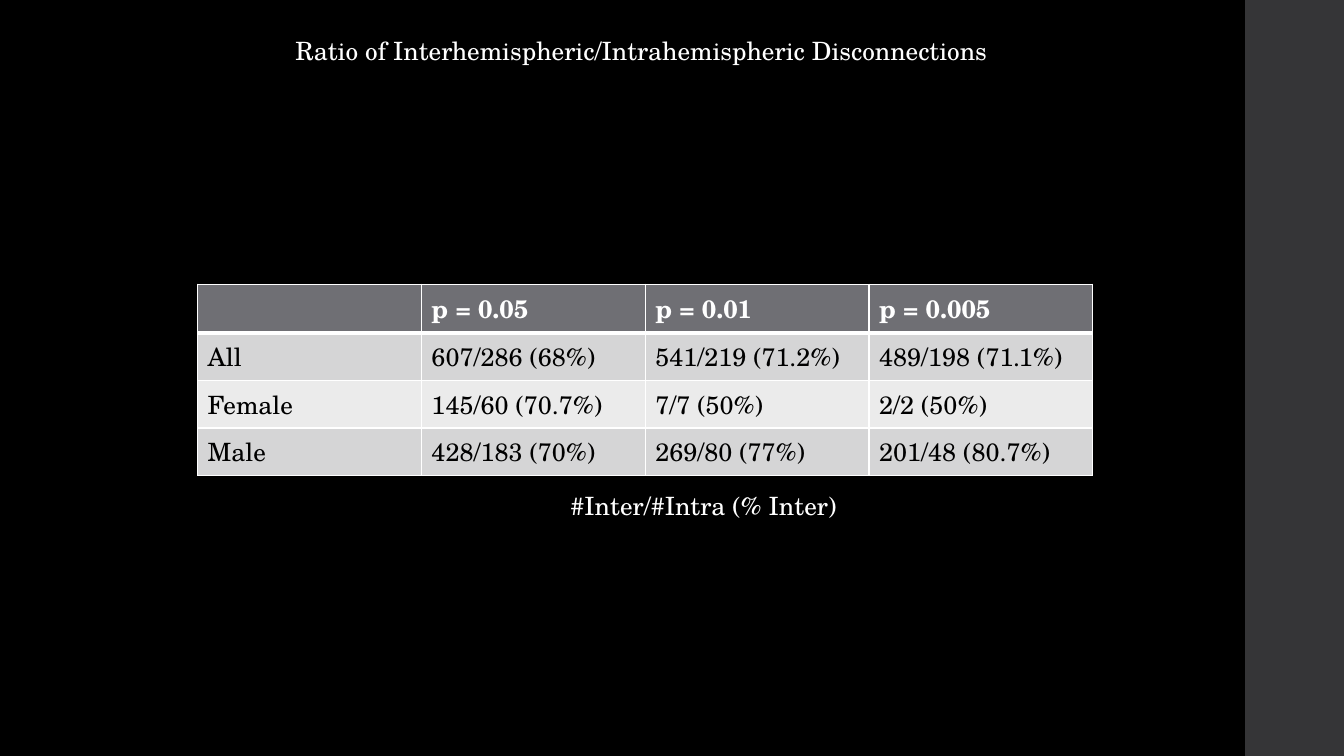
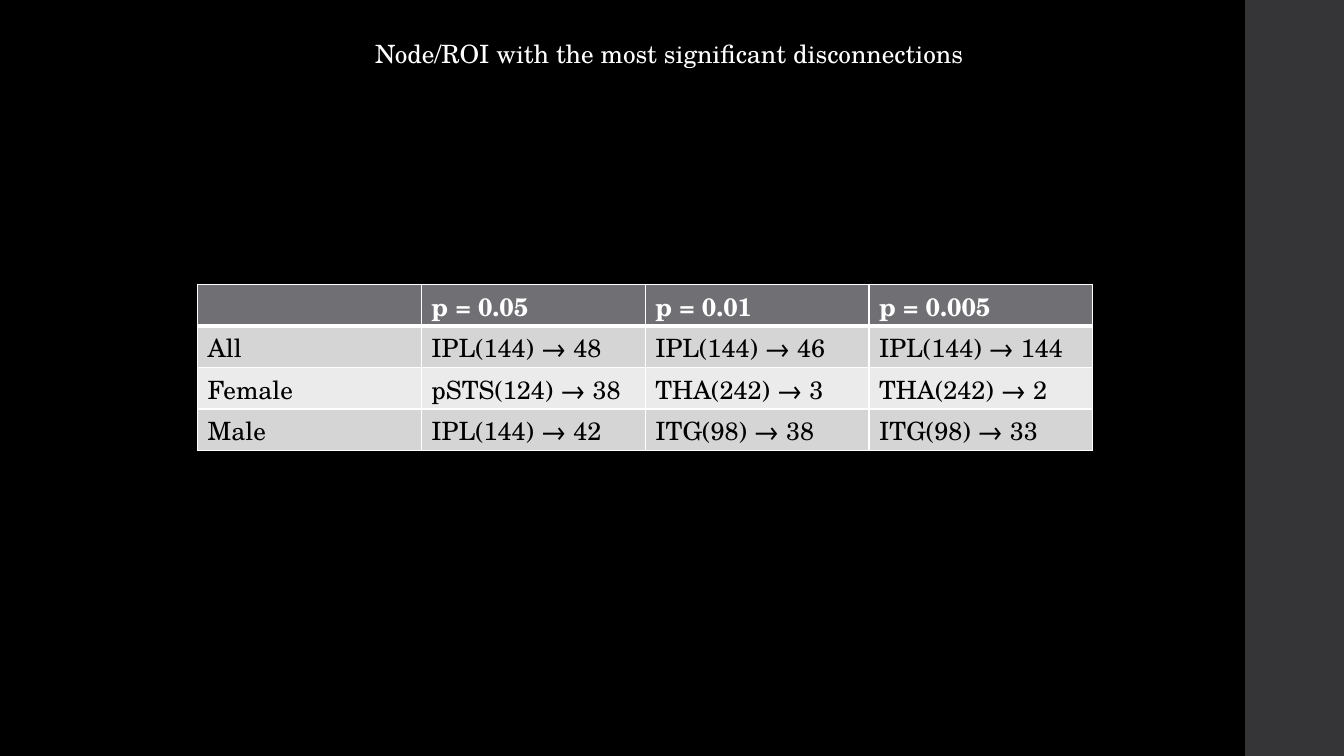
from pptx import Presentation
from pptx.dml.color import RGBColor
from pptx.enum.shapes import MSO_SHAPE
from pptx.enum.text import MSO_ANCHOR, PP_ALIGN
from pptx.oxml.ns import qn
from pptx.util import Inches, Pt
from lxml.etree import SubElement

COLORS = {
    "background": "000000",
    "band": "353537",
    "light": "FFFFFF",
    "dark": "000000",
    "header": "6F6F74",
    "odd_row": "D5D5D6",
    "even_row": "EBEBEB",
}
FONT = "TeX Gyre Schola"
SLIDE_WIDTH, SLIDE_HEIGHT = 13.33, 7.5
BAND_LEFT = 12.35
TABLE_LEFT, TABLE_TOP, COLUMN_WIDTH = 1.96, 2.82, 2.22
LINE_HEIGHT = 0.4

HEADER = ["", "p = 0.05", "p = 0.01", "p = 0.005"]
RATIOS = [
    HEADER,
    ["All", "607/286 (68%)", "541/219 (71.2%)", "489/198 (71.1%)"],
    ["Female", "145/60 (70.7%)", "7/7 (50%)", "2/2 (50%)"],
    ["Male", "428/183 (70%)", "269/80 (77%)", "201/48 (80.7%)"],
]
NODES = [
    HEADER,
    ["All", "IPL(144) → 48", "IPL(144) → 46", "IPL(144) → 144"],
    ["Female", "pSTS(124) → 38", "THA(242) → 3", "THA(242) → 2"],
    ["Male", "IPL(144) → 42", "ITG(98) → 38", "ITG(98) → 33"],
]


def color(name):
    return RGBColor.from_string(COLORS[name])


def fill_with(item, name):
    item.fill.solid()
    item.fill.fore_color.rgb = color(name)


def write(frame, text, color_name="light", bold=False):
    frame.text = text
    paragraph = frame.paragraphs[0]
    paragraph.alignment = PP_ALIGN.LEFT
    font = paragraph.font
    font.name, font.size, font.bold = FONT, Pt(18), bold
    font.color.rgb = color(color_name)


def write_line(box, text, left, top, width):
    """Place a box and fill it with one unwrapped line of text."""
    box.left, box.top = Inches(left), Inches(top)
    box.width, box.height = Inches(width), Inches(LINE_HEIGHT)
    frame = box.text_frame
    frame.word_wrap = False
    frame.vertical_anchor = MSO_ANCHOR.TOP
    write(frame, text)


def add_page(deck, title, left, top, width):
    page = deck.slides.add_slide(deck.slide_layouts[5])
    band = page.shapes.add_shape(
        MSO_SHAPE.RECTANGLE, Inches(BAND_LEFT), 0,
        Inches(SLIDE_WIDTH - BAND_LEFT), Inches(SLIDE_HEIGHT))
    band.shadow.inherit = False
    fill_with(band, "band")
    band.line.fill.background()
    write_line(page.shapes.title, title, left, top, width)
    return page


def add_caption(page, text, left, top, width):
    box = page.shapes.add_textbox(0, 0, 0, 0)
    write_line(box, text, left, top, width)


def set_borders(cell, top, bottom):
    """Draw white borders; top and bottom are widths in points."""
    properties = cell._tc.get_or_add_tcPr()
    for side, width in (("L", 1), ("R", 1), ("T", top), ("B", bottom)):
        line = SubElement(properties, qn(f"a:ln{side}"), w=str(Pt(width)))
        fill = SubElement(line, qn("a:solidFill"))
        SubElement(fill, qn("a:srgbClr"), val=COLORS["light"])


def add_data_table(page, rows, row_heights, top_margin, bottom_margin):
    width = COLUMN_WIDTH * len(HEADER)
    table = page.shapes.add_table(
        len(rows), len(HEADER), Inches(TABLE_LEFT), Inches(TABLE_TOP),
        Inches(width), Inches(sum(row_heights))).table
    for column in table.columns:
        column.width = Inches(COLUMN_WIDTH)
    for index, (values, height) in enumerate(zip(rows, row_heights)):
        table.rows[index].height = Inches(height)
        is_header = index == 0
        stripe = "odd_row" if index % 2 else "even_row"
        for cell, value in zip(table.rows[index].cells, values):
            cell.margin_top = Inches(top_margin)
            cell.margin_bottom = Inches(bottom_margin)
            set_borders(cell, 3 if index == 1 else 1, 3 if is_header else 1)
            fill_with(cell, "header" if is_header else stripe)
            write(cell.text_frame, value,
                  "light" if is_header else "dark", is_header)


def main():
    deck = Presentation()
    deck.slide_width = Inches(SLIDE_WIDTH)
    deck.slide_height = Inches(SLIDE_HEIGHT)
    fill_with(deck.slide_master.background, "background")

    page = add_page(
        deck, "Ratio of Interhemispheric/Intrahemispheric Disconnections",
        2.83, 0.3, 7.14)
    add_data_table(page, RATIOS, [0.47] * 4, 0.05, 0.05)
    add_caption(page, "#Inter/#Intra (% Inter)", 5.56, 4.82, 2.94)

    page = add_page(
        deck, "Node/ROI with the most significant disconnections",
        3.62, 0.33, 6.12)
    add_data_table(page, NODES, [0.39] + [0.41] * 3, 0.03, 0)

    deck.save("out.pptx")


if __name__ == "__main__":
    main()
